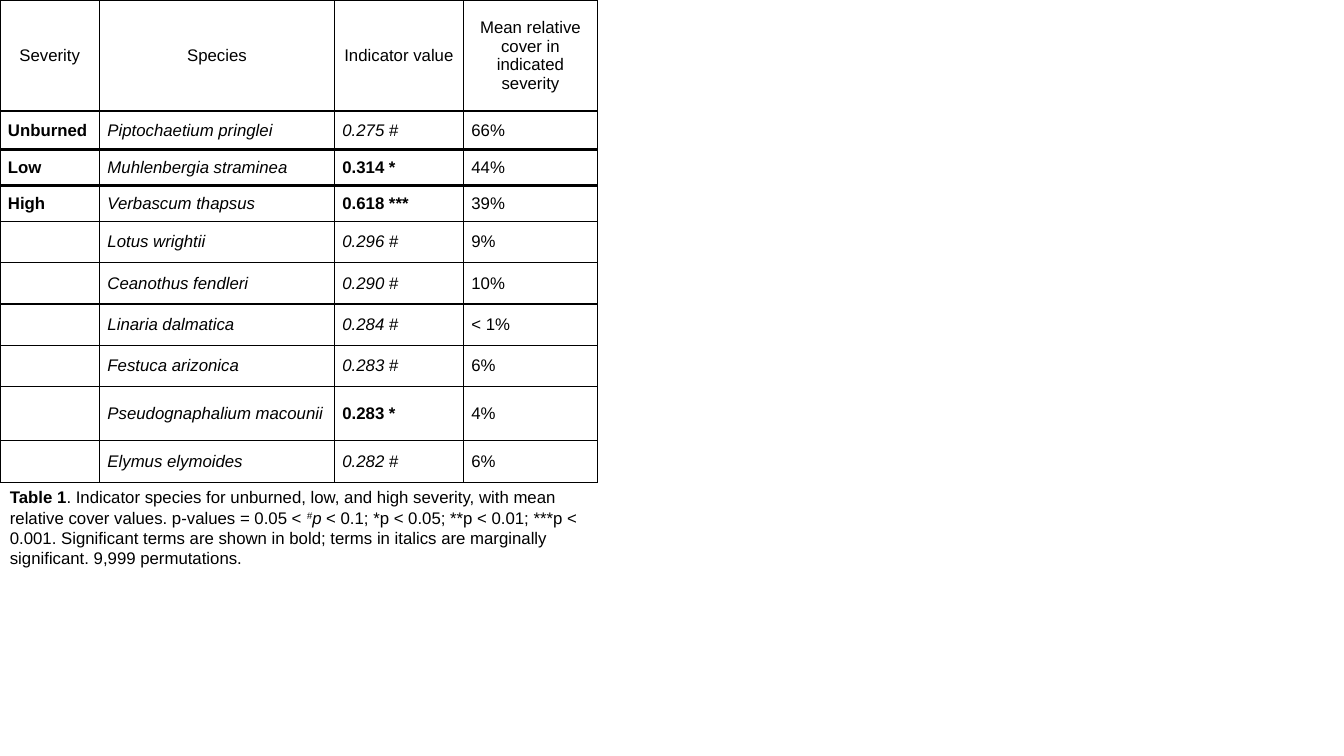
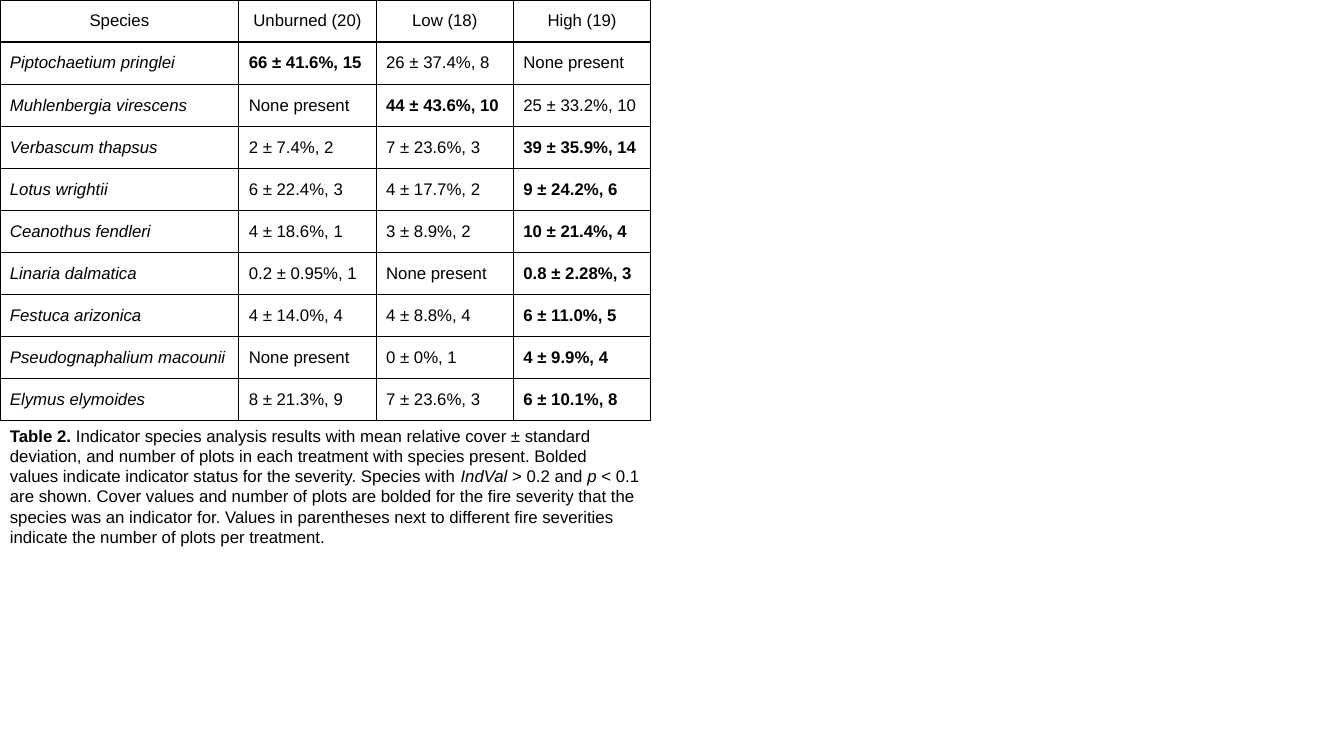
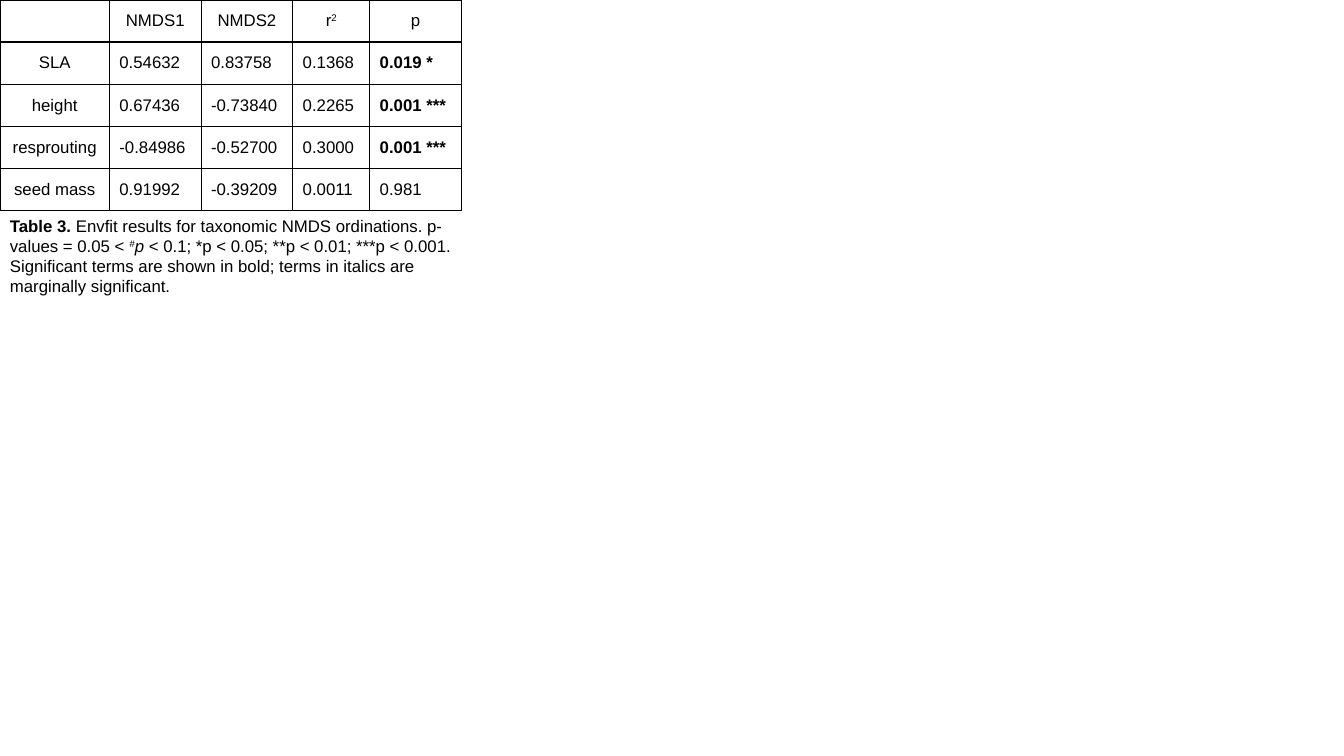
import dataclasses

import lxml.etree
import pptx
import pptx.dml.color
import pptx.enum.text
import pptx.oxml.ns
import pptx.util

Cm = pptx.util.Cm
Pt = pptx.util.Pt
qn = pptx.oxml.ns.qn


@dataclasses.dataclass(frozen=True)
class Theme:
    font: str = "Arial"
    ink: str = "000000"
    text_size: float = 12
    rule: float = 1
    heavy_rule: float = 2.25
    slide_width: float = 33.87
    slide_height: float = 19.05


THEME = Theme()


@dataclasses.dataclass(frozen=True)
class Span:
    text: str
    bold: bool = False
    italic: bool = False
    raised: bool = False


@dataclasses.dataclass(frozen=True)
class Report:
    """A table and its caption; lengths in cm, heavy_rules counts rows above the line."""
    columns: tuple
    row_heights: tuple
    inset: float
    rows: list
    caption: list
    caption_height: float
    heavy_rules: tuple = ()
    centred_columns: tuple = ()


def bold(text):
    return Span(text, bold=True)


def italic(text):
    return Span(text, italic=True)


def write(paragraph, spans):
    for span in spans:
        if isinstance(span, str):
            span = Span(span)
        run = paragraph.add_run()
        run.text = span.text
        run.font.name = THEME.font
        run.font.size = Pt(THEME.text_size)
        run.font.color.rgb = pptx.dml.color.RGBColor.from_string(THEME.ink)
        run.font.bold = span.bold
        run.font.italic = span.italic
        if span.raised:
            run.font._element.set("baseline", "30000")


def draw_borders(cell, top, bottom):
    properties = cell._tc.get_or_add_tcPr()
    sides = {"a:lnL": THEME.rule, "a:lnR": THEME.rule, "a:lnT": top, "a:lnB": bottom}
    for side, weight in sides.items():
        line = lxml.etree.SubElement(properties, qn(side), w=str(int(Pt(weight))))
        fill = lxml.etree.SubElement(line, qn("a:solidFill"))
        lxml.etree.SubElement(fill, qn("a:srgbClr"), val=THEME.ink)


def fill_cell(cell, content, inset, centred):
    cell.vertical_anchor = pptx.enum.text.MSO_ANCHOR.MIDDLE
    cell.fill.background()
    if not content:
        return
    cell.margin_left = cell.margin_right = Cm(inset)
    cell.margin_top = cell.margin_bottom = Cm(inset)
    paragraph = cell.text_frame.paragraphs[0]
    if centred:
        paragraph.alignment = pptx.enum.text.PP_ALIGN.CENTER
    write(paragraph, content if isinstance(content, list) else [content])


def add_results_table(slide, report, left, top, width):
    height = sum(report.row_heights)
    table = slide.shapes.add_table(
        len(report.rows), len(report.columns),
        Cm(left), Cm(top), Cm(width), Cm(height)).table
    table.first_row = table.horz_banding = False
    for column, column_width in zip(table.columns, report.columns):
        column.width = Cm(column_width)
    for row, row_height in zip(table.rows, report.row_heights):
        row.height = Cm(row_height)

    def weight(rows_above):
        return THEME.heavy_rule if rows_above in report.heavy_rules else THEME.rule

    for r, row in enumerate(report.rows):
        for c, content in enumerate(row):
            cell = table.cell(r, c)
            draw_borders(cell, weight(r), weight(r + 1))
            fill_cell(cell, content, report.inset,
                      r == 0 or c in report.centred_columns)


def add_caption(slide, spans, left, top, width, height):
    frame = slide.shapes.add_textbox(Cm(left), Cm(top), Cm(width), Cm(height)).text_frame
    frame.word_wrap = True
    frame.auto_size = pptx.enum.text.MSO_AUTO_SIZE.SHAPE_TO_FIT_TEXT
    write(frame.paragraphs[0], spans)


def add_report_slide(deck, report, left=0, top=0):
    slide = deck.slides.add_slide(deck.slide_layouts[6])
    width = sum(report.columns)
    add_results_table(slide, report, left, top, width)
    add_caption(slide, report.caption, left, top + sum(report.row_heights),
                width, report.caption_height)


P_VALUE_KEY = [Span("#", italic=True, raised=True), italic("p")]

INDICATOR_VALUES = Report(
    columns=(2.51, 5.92, 3.25, 3.38),
    row_heights=(2.8, 0.96, 0.91, 0.91, 1.04, 1.04, 1.04, 1.04, 1.37, 1.04),
    inset=0.2,
    heavy_rules=(2, 3),
    rows=[
        ["Severity", "Species", "Indicator value",
         "Mean relative cover in indicated severity"],
        [bold("Unburned"), italic("Piptochaetium pringlei"), italic("0.275 #"), "66%"],
        [bold("Low"), italic("Muhlenbergia straminea"), bold("0.314 *"), "44%"],
        [bold("High"), italic("Verbascum thapsus"), bold("0.618 ***"), "39%"],
        ["", italic("Lotus wrightii"), italic("0.296 #"), "9%"],
        ["", italic("Ceanothus fendleri"), italic("0.290 #"), "10%"],
        ["", italic("Linaria dalmatica"), italic("0.284 #"), "< 1%"],
        ["", italic("Festuca arizonica"), italic("0.283 #"), "6%"],
        ["", italic("Pseudognaphalium macounii"), bold("0.283 *"), "4%"],
        ["", italic("Elymus elymoides"), italic("0.282 #"), "6%"],
    ],
    caption=[
        bold("Table 1"),
        ". Indicator species for unburned, low, and high severity, with mean relative "
        "cover values. p-values = 0.05 < ",
        *P_VALUE_KEY,
        " < 0.1; *p < 0.05; **p < 0.01; ***p < 0.001. Signiﬁcant terms are shown in bold; "
        "terms in italics are marginally signiﬁcant. 9,999 permutations.",
    ],
    caption_height=2.31,
)

COVER_BY_SEVERITY = Report(
    columns=(6.02, 3.46, 3.46, 3.46),
    row_heights=(1.06,) * 10,
    inset=0.25,
    rows=[
        ["Species", "Unburned (20)", "Low (18)", "High (19)"],
        [italic("Piptochaetium pringlei"), bold("66 ± 41.6%, 15"), "26 ± 37.4%, 8",
         "None present"],
        [italic("Muhlenbergia virescens"), "None present", bold("44 ± 43.6%, 10"),
         "25 ± 33.2%, 10"],
        [italic("Verbascum thapsus"), "2 ± 7.4%, 2", "7 ± 23.6%, 3",
         bold("39 ± 35.9%, 14")],
        [italic("Lotus wrightii"), "6 ± 22.4%, 3", "4 ± 17.7%, 2", bold("9 ± 24.2%, 6")],
        [italic("Ceanothus fendleri"), "4 ± 18.6%, 1", "3 ± 8.9%, 2",
         bold("10 ± 21.4%, 4")],
        [italic("Linaria dalmatica"), "0.2 ± 0.95%, 1", "None present",
         bold("0.8 ± 2.28%, 3")],
        [italic("Festuca arizonica"), "4 ± 14.0%, 4", "4 ± 8.8%, 4",
         bold("6 ± 11.0%, 5")],
        [italic("Pseudognaphalium macounii"), "None present", "0 ± 0%, 1",
         bold("4 ± 9.9%, 4")],
        [italic("Elymus elymoides"), "8 ± 21.3%, 9", "7 ± 23.6%, 3",
         bold("6 ± 10.1%, 8")],
    ],
    caption=[
        bold("Table 2. "),
        "Indicator species analysis results with mean relative cover ± standard deviation, "
        "and number of plots in each treatment with species present. Bolded values indicate "
        "indicator status for the severity. Species with ",
        italic("IndVal "),
        "> 0.2 and ",
        italic("p"),
        " < 0.1 are shown. Cover values and number of plots are bolded for the fire severity "
        "that the species was an indicator for. Values in parentheses next to different fire "
        "severities indicate the number of plots per treatment.",
    ],
    caption_height=3.33,
)

ENVFIT_RESULTS = Report(
    columns=(2.76, 2.31, 2.31, 1.94, 2.31),
    row_heights=(1.06,) * 5,
    inset=0.25,
    centred_columns=(0,),
    rows=[
        ["", "NMDS1", "NMDS2", ["r", Span("2", raised=True)], "p"],
        ["SLA", "0.54632", "0.83758", "0.1368", bold("0.019 *")],
        ["height", "0.67436", "-0.73840", "0.2265", bold("0.001 ***")],
        ["resprouting", "-0.84986", "-0.52700", "0.3000", bold("0.001 ***")],
        ["seed mass", "0.91992", "-0.39209", "0.0011", "0.981"],
    ],
    caption=[
        bold("Table 3. "),
        "Envfit results for taxonomic NMDS ordinations. p-values = 0.05 < ",
        *P_VALUE_KEY,
        " < 0.1; *p < 0.05; **p < 0.01; ***p < 0.001. Signiﬁcant terms are shown in bold; "
        "terms in italics are marginally signiﬁcant.",
    ],
    caption_height=2.31,
)


def main():
    deck = pptx.Presentation()
    deck.slide_width = Cm(THEME.slide_width)
    deck.slide_height = Cm(THEME.slide_height)
    for report in (INDICATOR_VALUES, COVER_BY_SEVERITY, ENVFIT_RESULTS):
        add_report_slide(deck, report)
    deck.save("out.pptx")


if __name__ == "__main__":
    main()
